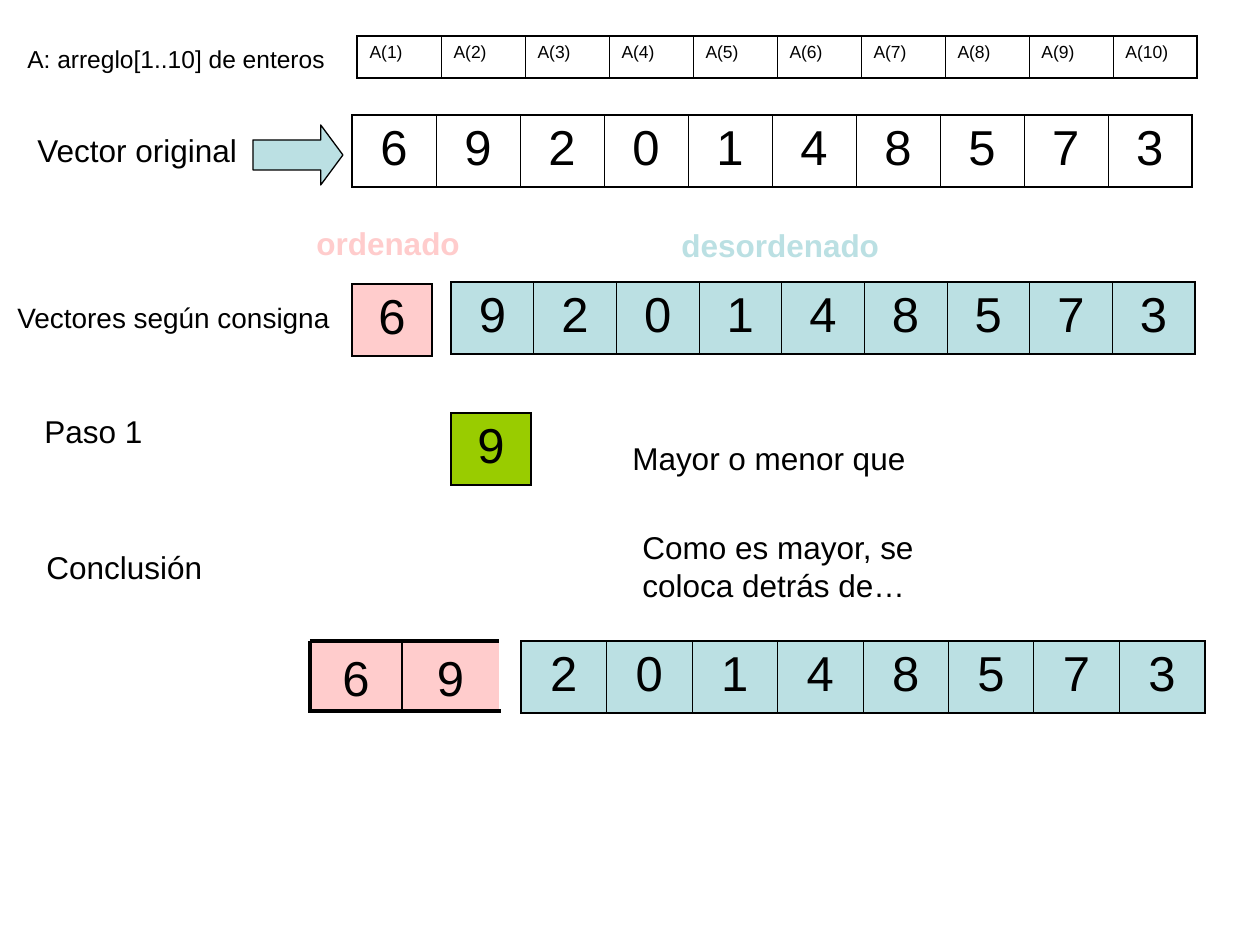
from lxml.etree import SubElement
from pptx import Presentation
from pptx.dml.color import RGBColor
from pptx.enum.shapes import MSO_CONNECTOR, MSO_SHAPE
from pptx.enum.text import MSO_ANCHOR, MSO_AUTO_SIZE, PP_ALIGN
from pptx.oxml import parse_xml
from pptx.oxml.ns import nsdecls, qn
from pptx.util import Emu, Pt

BLACK = RGBColor(0x00, 0x00, 0x00)
PINK = RGBColor(0xFF, 0xCC, 0xCC)
BLUE = RGBColor(0xBB, 0xE0, 0xE3)
GREEN = RGBColor(0x99, 0xCC, 0x00)
OUTER_BORDER = Pt(1.08)
INNER_BORDER = Pt(0.45)


def px(*lengths):
    return [Emu(round(length * 914400 / 126)) for length in lengths]


def write(frame, text, size, color=BLACK, bold=False, align=PP_ALIGN.LEFT):
    para = frame.paragraphs[0]
    para.alignment = align
    span = para.add_run()
    span.text = text
    formats = {"name": "Arial", "size": Pt(size), "bold": bold}
    for name, value in formats.items():
        setattr(span.font, name, value)
    span.font.color.rgb = color


deck = Presentation()
deck.slide_width, deck.slide_height = px(1260, 945)
page = deck.slides.add_slide(deck.slide_layouts[6])

labels = [
    ("A: arreglo[1..10] de enteros", (15, 38, 328, 43), 14, BLACK, False, True),
    ("Vector original", (25, 125, 228, 50), 18, BLACK, False, True),
    ("ordenado", (304, 218, 169, 50), 18, PINK, True, False),
    ("desordenado", (669, 220, 223, 50), 18, BLUE, True, False),
    ("Vectores según consigna", (5, 294, 367, 47), 16, BLACK, False, True),
    ("Paso 1", (32, 406, 124, 50), 18, BLACK, False, False),
    ("Mayor o menor que", (620, 433, 367, 50), 18, BLACK, False, True),
    ("Conclusión", (34, 542, 238, 50), 18, BLACK, False, True),
    ("Como es mayor, se coloca detrás de…", (630, 522, 328, 88), 18, BLACK, False, True),
]
for text, place, size, color, bold, wrap in labels:
    box = page.shapes.add_textbox(*px(*place))
    box.text_frame.word_wrap = wrap
    box.text_frame.auto_size = MSO_AUTO_SIZE.SHAPE_TO_FIT_TEXT
    write(box.text_frame, text, size, color, bold)

arrow = page.shapes.add_shape(MSO_SHAPE.RIGHT_ARROW, *px(253, 125, 90, 60))
arrow.shadow.inherit = False
arrow.adjustments[1] = 0.37
arrow.fill.solid()
arrow.fill.fore_color.rgb = BLUE
arrow.line.color.rgb = BLACK
arrow.line.width = Pt(0.75)

indexes = [f"A({number})" for number in range(1, 11)]
vectors = [
    (indexes, (357, 36, 840, 42), None, 10, PP_ALIGN.LEFT),
    ("6920148573", (352, 115, 840, 72), None, 28, PP_ALIGN.CENTER),
    ("6", (352, 284, 80, 72), PINK, 28, PP_ALIGN.CENTER),
    ("920148573", (451, 282, 744, 72), BLUE, 28, PP_ALIGN.CENTER),
    ("9", (451, 413, 80, 72), GREEN, 28, PP_ALIGN.CENTER),
    ("20148573", (521, 641, 684, 72), BLUE, 28, PP_ALIGN.CENTER),
]
for values, place, color, size, align in vectors:
    table = page.shapes.add_table(1, len(values), *px(*place)).table
    table.first_row = False
    table.horz_banding = False
    for column, value in enumerate(values):
        cell = table.cell(0, column)
        write(cell.text_frame, value, size, align=align)
        if color is None:
            cell.fill.background()
        else:
            cell.fill.solid()
            cell.fill.fore_color.rgb = color
        borders = {
            "lnL": OUTER_BORDER if column == 0 else INNER_BORDER,
            "lnR": OUTER_BORDER if column == len(values) - 1 else INNER_BORDER,
            "lnT": OUTER_BORDER,
            "lnB": OUTER_BORDER,
        }
        properties = cell._tc.get_or_add_tcPr()
        for position, (side, width) in enumerate(borders.items()):
            border = parse_xml(
                f'<a:{side} {nsdecls("a")} w="{int(width)}"><a:solidFill>'
                f'<a:srgbClr val="{BLACK}"/></a:solidFill></a:{side}>'
            )
            properties.insert(position, border)

ordered = page.shapes.add_group_shape()
for value, left, width in [("6", 310, 92), ("9", 402, 97)]:
    box = ordered.shapes.add_shape(MSO_SHAPE.RECTANGLE, *px(left, 641, width, 72))
    box.shadow.inherit = False
    box.fill.solid()
    box.fill.fore_color.rgb = PINK
    box.line.fill.background()
    box.text_frame.vertical_anchor = MSO_ANCHOR.BOTTOM
    write(box.text_frame, value, 28, align=PP_ALIGN.CENTER)

edges = [
    ((310, 641, 499, 641), 2.25),
    ((312, 711, 501, 711), 2.25),
    ((310, 641, 310, 713), 2.25),
    ((402, 641, 402, 713), 1),
]
for ends, width in edges:
    edge = ordered.shapes.add_connector(MSO_CONNECTOR.STRAIGHT, *px(*ends))
    edge.line.color.rgb = BLACK
    edge.line.width = Pt(width)
    SubElement(edge._element.spPr, qn("a:effectLst"))

deck.save("out.pptx")
